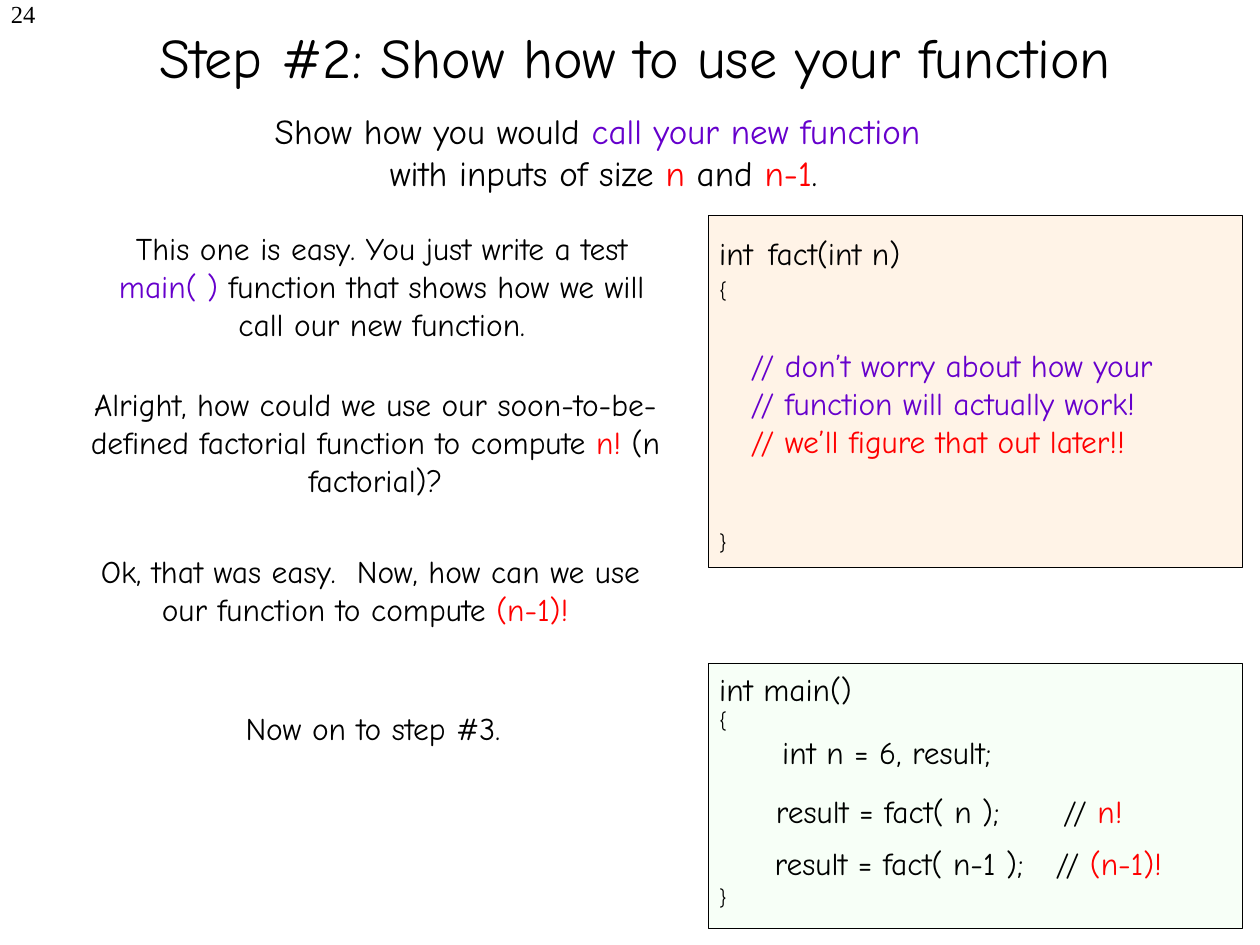
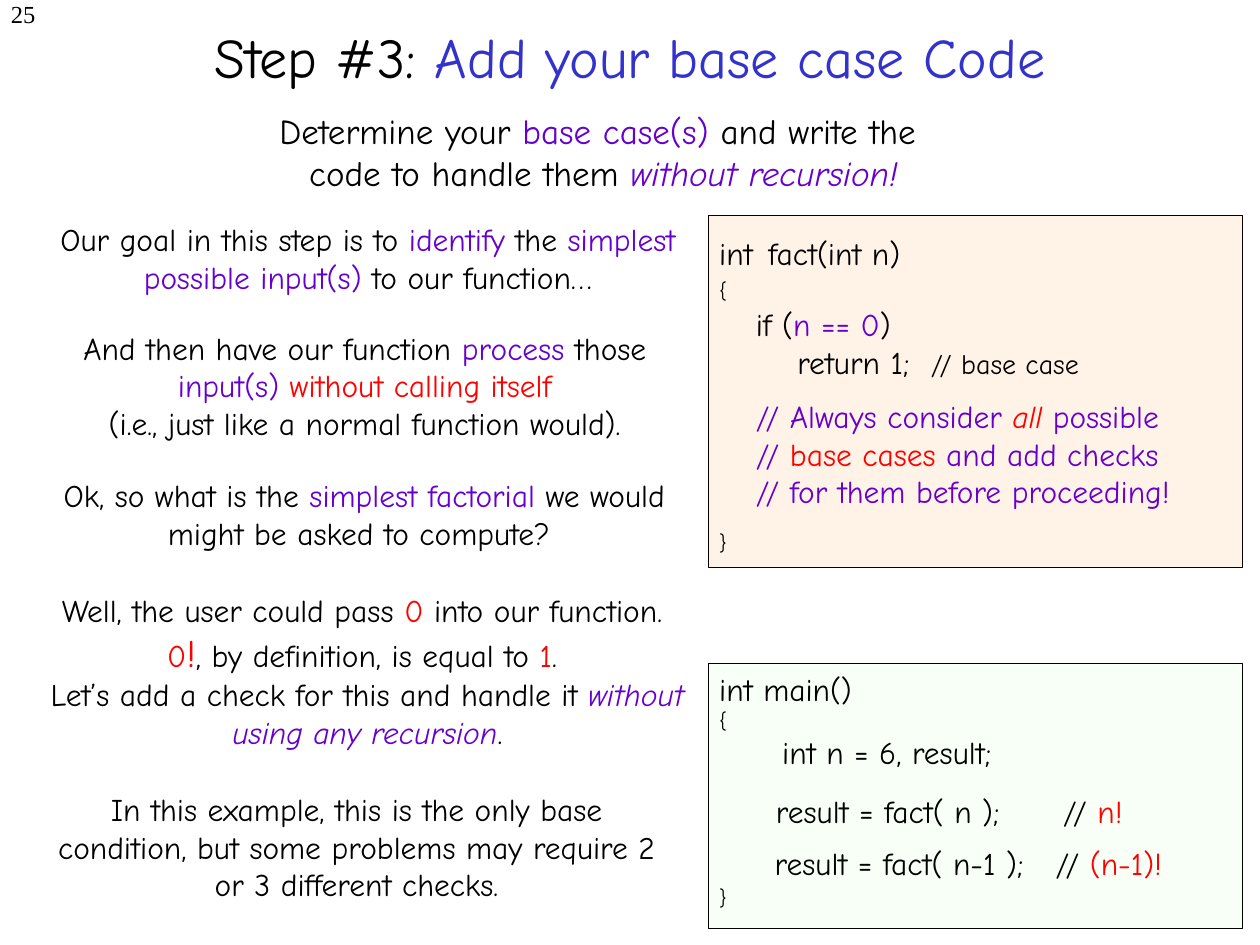
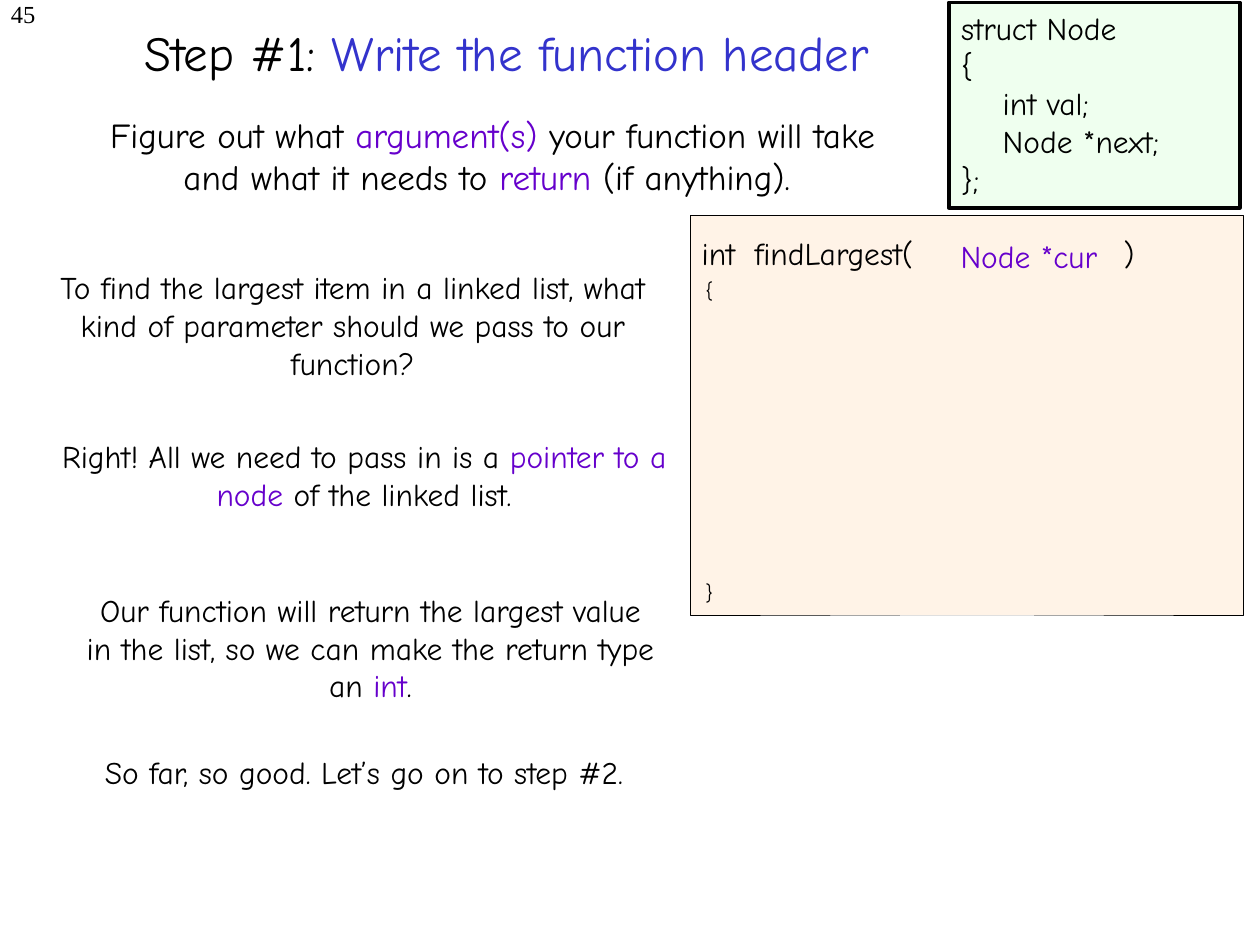
from dataclasses import dataclass

from lxml.etree import SubElement
from pptx import Presentation
from pptx.dml.color import RGBColor
from pptx.enum.shapes import MSO_SHAPE
from pptx.enum.text import MSO_ANCHOR, PP_ALIGN
from pptx.oxml.ns import qn
from pptx.slide import Slide
from pptx.text.text import TextFrame, _Paragraph
from pptx.util import Inches, Pt


@dataclass(frozen=True)
class Theme:
    font: str = "Comic Neue"
    number_font: str = "Times New Roman"
    title: int = 32
    small_title: int = 28
    lead: int = 20
    body: int = 18
    note: int = 16
    number: int = 14
    brace: int = 12
    emphasis: int = 22
    line_pitch: float = 1.2
    ink: str = "000000"
    purple: str = "6600CC"
    red: str = "FF0000"
    blue: str = "3333CC"
    peach: str = "FFF3E7"
    mint: str = "F7FFF7"
    green: str = "EFFFEF"


THEME = Theme()


@dataclass(frozen=True)
class Span:
    text: str
    color: str = THEME.ink
    size: int | None = None
    italic: bool | None = None


@dataclass(frozen=True)
class Para:
    spans: tuple[Span | str, ...]
    size: int = THEME.body
    tabs: tuple[float, ...] = ()
    before: float = 0
    font: str = THEME.font


@dataclass(frozen=True)
class Box:
    left: float
    top: float
    width: float
    height: float
    paras: tuple[Para, ...] = ()
    align: PP_ALIGN = PP_ALIGN.LEFT
    anchor: MSO_ANCHOR = MSO_ANCHOR.TOP
    fill: str | None = None
    line: float = 0.25


def purple(text: str, italic: bool | None = None) -> Span:
    return Span(text, THEME.purple, italic=italic)


def red(text: str, size: int | None = None, italic: bool | None = None) -> Span:
    return Span(text, THEME.red, size, italic)


def blue(text: str) -> Span:
    return Span(text, THEME.blue)


def para(*spans: Span | str, size: int = THEME.body, tabs: tuple[float, ...] = (),
         before: float = 0) -> Para:
    return Para(spans, size, tabs, before)


def code(left: float, top: float, width: float, height: float, *paras: Para) -> Box:
    return Box(left, top, width, height, paras)


def prose(left: float, top: float, width: float, height: float, *spans: Span | str) -> Box:
    return Box(left, top, width, height, (para(*spans),), PP_ALIGN.CENTER)


def lead(left: float, top: float, width: float, *spans: Span | str) -> Box:
    return Box(left, top, width, 0.77, (para(*spans, size=THEME.lead),), PP_ALIGN.CENTER)


def title(left: float, top: float, width: float, *spans: Span | str,
          size: int = THEME.title) -> Box:
    return Box(left, top, width, 1.25, (para(*spans, size=size),),
               PP_ALIGN.CENTER, MSO_ANCHOR.MIDDLE)


def slide_number(number: int) -> Box:
    return Box(-1.7, -0.06, 2.08, 0.5,
               (Para((str(number),), THEME.number, font=THEME.number_font),), PP_ALIGN.RIGHT)


def braces(left: float, height: float, lines_between: int) -> Box:
    """An opening and a closing brace, set apart by a number of code lines."""
    gap = lines_between * THEME.brace * THEME.line_pitch
    return code(left, 2.15, 2.49, height, para("{", size=THEME.brace),
                para("}", size=THEME.brace, before=gap))


def fact_panel() -> list[Box]:
    return [
        Box(5.62, 1.71, 4.24, 2.79, fill=THEME.peach),
        braces(5.61, 2.3, 9),
        code(6, 1.81, 2.49, 0.4, para("fact(int n)")),
        code(5.61, 1.81, 2.49, 0.4, para("int")),
    ]


def main_panel() -> list[Box]:
    return [
        Box(5.62, 5.26, 4.24, 2.11, fill=THEME.mint),
        code(5.61, 5.27, 4.23, 2,
             para("int main()"),
             para("{", size=THEME.brace),
             para("\tint n = 6, result;", tabs=(0.5,)),
             para("}", size=THEME.brace, before=3 * THEME.body * THEME.line_pitch)),
        code(6.06, 6.24, 3.68, 0.4,
             para("result = fact( n );\t// ", red("n!"), tabs=(2.28,))),
        code(6.05, 6.65, 3.58, 0.4,
             para("result = fact( n-1 );\t// ", red("(n-1)!"), tabs=(2.23,))),
    ]


def set_tabs(p: _Paragraph, tabs: tuple[float, ...]) -> None:
    tab_list = SubElement(p._p.get_or_add_pPr(), qn("a:tabLst"))
    for tab in tabs:
        SubElement(tab_list, qn("a:tab"), pos=str(Inches(tab)), algn="l")


def write_span(p: _Paragraph, span: Span) -> None:
    for i, text in enumerate(span.text.split("\n")):
        if i:
            p.add_line_break()
        if not text:
            continue
        r = p.add_run()
        r.text = text
        r.font.color.rgb = RGBColor.from_string(span.color)
        if span.size:
            r.font.size = Pt(span.size)
        if span.italic:
            r.font.italic = True


def write_paras(tf: TextFrame, box: Box) -> None:
    tf.word_wrap = True
    tf.vertical_anchor = box.anchor
    for i, content in enumerate(box.paras):
        p = tf.add_paragraph() if i else tf.paragraphs[0]
        p.alignment = box.align
        if content.before:
            p.space_before = Pt(content.before)
        if content.tabs:
            set_tabs(p, content.tabs)
        p.font.name = content.font
        p.font.size = Pt(content.size)
        for span in content.spans:
            write_span(p, Span(span) if isinstance(span, str) else span)


def draw_box(s: Slide, box: Box) -> None:
    frame = [Inches(v) for v in (box.left, box.top, box.width, box.height)]
    if box.fill:
        sp = s.shapes.add_shape(MSO_SHAPE.RECTANGLE, *frame)
        sp.shadow.inherit = False
        sp.fill.solid()
        sp.fill.fore_color.rgb = RGBColor.from_string(box.fill)
        sp.line.color.rgb = RGBColor.from_string(THEME.ink)
        sp.line.width = Pt(box.line)
    else:
        sp = s.shapes.add_textbox(*frame)
    if box.paras:
        write_paras(sp.text_frame, box)


USE_FUNCTION = [
    slide_number(24),
    *fact_panel(),
    title(0.58, -0.18, 8.93, "Step #2: Show how to use your function"),
    lead(1.67, 0.82, 6.24, "Show how you would ", purple("call your new function \n"),
         "with inputs of size ", red("n"), " and ", red("n-1"), "."),
    prose(0.6, 3.01, 4.76, 1,
          "Alright, how could we use our soon-to-be-defined factorial function to compute ",
          red("n!"), " (n factorial)?"),
    prose(0.65, 1.77, 4.76, 1, "This one is easy. You just write a test ", purple("main( )"),
          " function that shows how we will call our new function."),
    prose(0.56, 4.33, 4.76, 0.7,
          "Ok, that was easy.  Now, how can we use our function to compute ", red("(n-1)! ")),
    prose(0.58, 5.58, 4.76, 0.4, "Now on to step #3."),
    *main_panel(),
    code(5.86, 2.7, 3.69, 1,
         para(purple("// don’t worry about how your\n// function will actually work!")),
         para(red("// we’ll figure that out later!!"))),
]

BASE_CASE = [
    slide_number(25),
    *fact_panel(),
    title(0.75, -0.18, 8.5, "Step #3: ", blue("Add your base case Code")),
    code(5.9, 2.37, 3.5, 0.7,
         para("if (", purple("n == 0"), ")"),
         para("\treturn 1;\t", Span("// base case", size=THEME.note), tabs=(0.33, 1.39))),
    lead(1.67, 0.82, 6.24, "Determine your ", purple("base case(s)"),
         " and write the \ncode to handle them ", purple("without recursion!", italic=True)),
    prose(0.19, 4.64, 5.45, 1.37, "Well, the user could pass ", red("0"),
          " into our function. \n", red("0"), red("!", THEME.emphasis),
          ", by definition, is equal to ", red("1"),
          ". \nLet’s add a check for this and handle it ",
          purple("without using any recursion", italic=True), "."),
    prose(0.4, 3.73, 4.98, 0.7, "Ok, so what is the ", purple("simplest factorial"),
          " we would might be asked to compute? "),
    prose(0.23, 6.22, 5.2, 1, "In this example, this is the only base condition, "
          "but some problems may require 2 or 3 different checks."),
    code(5.9, 3.1, 4.76, 1,
         para(purple("// Always consider "), red("all", italic=True), purple(" possible \n// "),
              red("base cases"), purple(" and add checks\n// for them before proceeding!"))),
    *main_panel(),
    prose(0.31, 1.7, 5.22, 0.7, "Our goal in this step is to ", purple("identify"), " the ",
          purple("simplest possible input(s)"), " to our function…"),
    Box(0.43, 2.56, 4.93, 1,
        (para("And then have our function ", purple("process "), "those", purple(" input(s) "),
              red("without calling itself")),
         para("(i.e., just like a normal function would).")), PP_ALIGN.CENTER),
]

FUNCTION_HEADER = [
    slide_number(45),
    Box(5.48, 1.71, 4.39, 3.17, fill=THEME.peach),
    braces(5.5, 2.7, 11),
    title(-0.23, -0.21, 8.5, "Step #1: ", blue("Write the function header"),
          size=THEME.small_title),
    code(5.89, 1.81, 4, 0.4, para("findLargest(\t)", tabs=(2.93,))),
    code(5.47, 1.81, 2.49, 0.4, para("int")),
    lead(0.7, 0.85, 6.42, "Figure out what ", purple("argument(s)"),
         " your function will take and what it needs to ", purple("return "),
         "(if anything). "),
    prose(0.56, 4.64, 4.76, 1, "Our function will return the largest value in the list, "
          "so we can make the return type an ", purple("int"), "."),
    prose(0.39, 3.42, 5, 0.7, "Right! All we need to pass in is a ",
          purple("pointer to a node "), "of the linked list."),
    prose(0.51, 5.93, 4.76, 0.4, "So far, so good. Let’s go on to step #2."),
    prose(7.34, 1.83, 1.65, 0.4, purple("Node *cur")),
    prose(0.3, 2.08, 5, 1, "To find the largest item in a linked list, "
          "what kind of parameter should we pass to our function?"),
    Box(7.53, 0.02, 2.31, 1.63,
        (para("struct Node"), para("{"), para("\tint val;", tabs=(0.33,)),
         para("\tNode *next;", tabs=(0.33,)), para("};")), fill=THEME.green, line=2),
]


def main() -> None:
    prs = Presentation()
    prs.slide_width, prs.slide_height = Inches(10), Inches(7.5)
    for boxes in (USE_FUNCTION, BASE_CASE, FUNCTION_HEADER):
        s = prs.slides.add_slide(prs.slide_layouts[6])
        for box in boxes:
            draw_box(s, box)
    prs.save("out.pptx")


if __name__ == "__main__":
    main()
